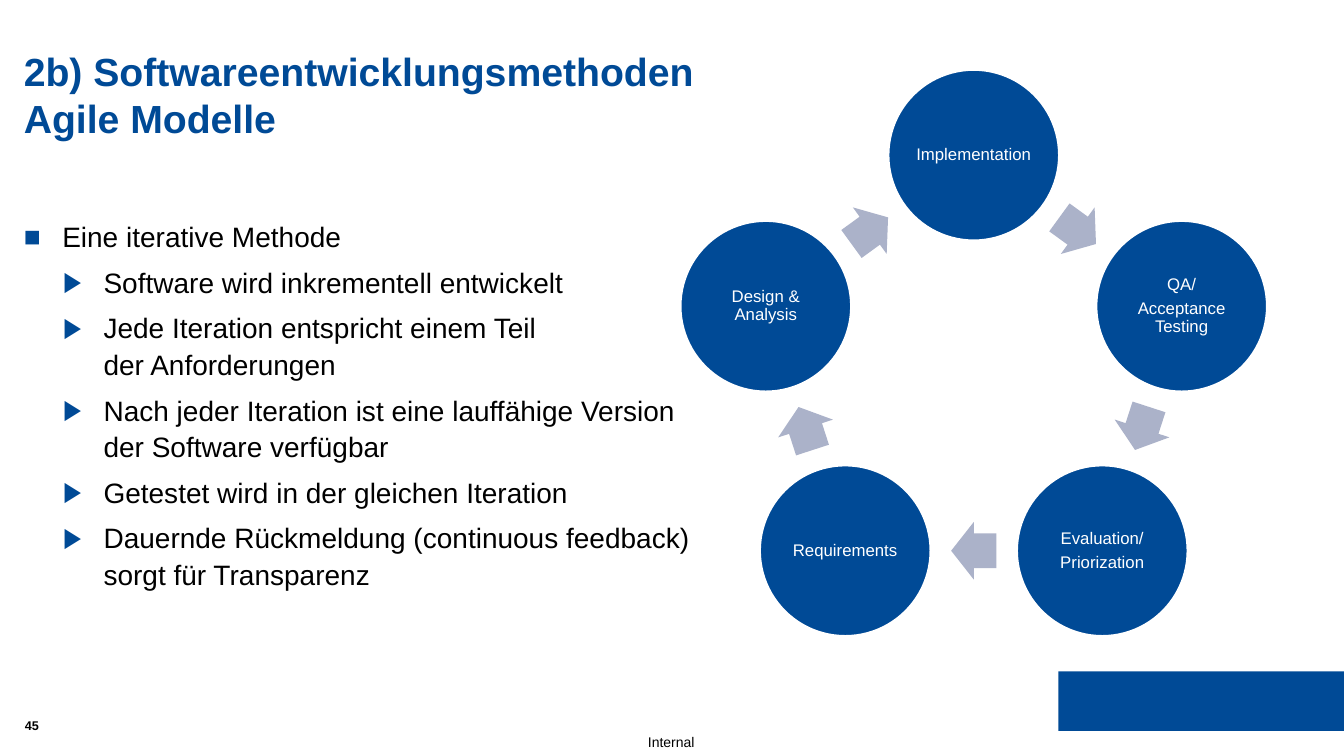
from math import cos, radians, sin

from lxml.etree import SubElement
from pptx import Presentation
from pptx.dml.color import RGBColor
from pptx.enum.shapes import MSO_SHAPE
from pptx.enum.text import MSO_ANCHOR, PP_ALIGN
from pptx.oxml.ns import qn
from pptx.util import Cm, Pt

COLORS = {"blue": "004A96", "arrow": "ABB2C9", "white": "FFFFFF", "black": "000000"}
FONT = "Arial"
STEPS = [
    "Implementation",
    "QA/\nAcceptance Testing",
    "Evaluation/\nPriorization",
    "Requirements",
    "Design & Analysis",
]
POINTS = [
    (0, "Eine iterative Methode"),
    (1, "Software wird inkrementell entwickelt"),
    (1, "Jede Iteration entspricht einem Teil\vder Anforderungen"),
    (1, "Nach jeder Iteration ist eine lauffähige Version\vder Software verfügbar"),
    (1, "Getestet wird in der gleichen Iteration"),
    (1, "Dauernde Rückmeldung (continuous feedback)\vsorgt für Transparenz"),
]
# Per level: bullet, left margin and hanging width in cm
LEVELS = [("■", 0.97, 0.97), ("▶", 2.01, 1.02)]
# Cycle geometry in cm
MID_X, MID_Y, RADIUS = 24.54, 9.42, 5.51
DISC, ARROW_W, ARROW_H = 4.32, 1.14, 1.45


def color(name):
    return RGBColor.from_string(COLORS[name])


def style(frame, size, tint, bold=False, align=PP_ALIGN.LEFT):
    for para in frame.paragraphs:
        para.alignment = align
        for run in para.runs:
            font = run.font
            font.name, font.size, font.bold = FONT, Pt(size), bold
            font.color.rgb = color(tint)


def inset(frame, gap):
    frame.margin_left = frame.margin_right = Cm(gap)
    frame.margin_top = frame.margin_bottom = Cm(gap)
    frame.word_wrap = True


def add_text(slide, box, text, size, tint, bold=False, align=PP_ALIGN.LEFT):
    frame = slide.shapes.add_textbox(*map(Cm, box)).text_frame
    inset(frame, 0)
    frame.text = text
    style(frame, size, tint, bold, align)
    return frame


def add_form(slide, kind, box, fill):
    form = slide.shapes.add_shape(kind, *map(Cm, box))
    form.shadow.inherit = False
    form.fill.solid()
    form.fill.fore_color.rgb = color(fill)
    form.line.fill.background()
    return form


def on_ring(angle, radius, width, height):
    """Box centred on the ring, with the angle clockwise from the top."""
    turn = radians(angle)
    x = MID_X + radius * sin(turn)
    y = MID_Y - radius * cos(turn)
    return x - width / 2, y - height / 2, width, height


def add_disc(slide, angle, text):
    disc = add_form(slide, MSO_SHAPE.OVAL, on_ring(angle, RADIUS, DISC, DISC), "blue")
    disc.line.color.rgb = color("white")
    disc.line.width = Pt(2)
    frame = disc.text_frame
    inset(frame, 0.05)
    frame.vertical_anchor = MSO_ANCHOR.MIDDLE
    frame.text = text
    for para in frame.paragraphs:
        para.line_spacing = 0.9
        para.space_after = Pt(4.2)
    style(frame, 12, "white", align=PP_ALIGN.CENTER)


def add_arrow(slide, angle):
    box = on_ring(angle, RADIUS * cos(radians(36)), ARROW_W, ARROW_H)
    arrow = add_form(slide, MSO_SHAPE.RIGHT_ARROW, box, "arrow")
    arrow.adjustments[0], arrow.adjustments[1] = 0.6, 0.5
    arrow.rotation = angle


def add_cycle(slide):
    step = 360 / len(STEPS)
    for i, text in enumerate(STEPS):
        add_disc(slide, i * step, text)
        add_arrow(slide, (i + 0.5) * step)


def add_bullet(para, level):
    sign, left, hang = LEVELS[level]
    props = para._p.get_or_add_pPr()
    props.set("marL", str(Cm(left)))
    props.set("indent", str(-Cm(hang)))
    tint = SubElement(props, qn("a:buClr"))
    SubElement(tint, qn("a:srgbClr")).set("val", COLORS["blue"])
    SubElement(props, qn("a:buFont")).set("typeface", FONT)
    SubElement(props, qn("a:buChar")).set("char", sign)


def add_list(slide):
    text = "\n".join(line for _, line in POINTS)
    frame = add_text(slide, (0.6, 5.46, 32.64, 10.85), text, 20, "black")
    for para, (level, _) in zip(frame.paragraphs, POINTS):
        add_bullet(para, level)
        para.level = level
        para.line_spacing = 1.1
        if level:
            para.space_before = Pt(6)


def main():
    deck = Presentation()
    deck.slide_width, deck.slide_height = Cm(33.87), Cm(19.05)
    slide = deck.slides.add_slide(deck.slide_layouts[6])
    add_form(slide, MSO_SHAPE.RECTANGLE, (26.67, 16.92, 7.2, 1.5), "blue")
    add_text(slide, (15.95, 18.36, 1.93, 0.69), "Internal", 10, "black",
             align=PP_ALIGN.CENTER).vertical_anchor = MSO_ANCHOR.MIDDLE
    add_cycle(slide)
    add_text(slide, (0.6, 1.2, 32.62, 2.36),
             "2b) Softwareentwicklungsmethoden\vAgile Modelle", 28, "blue", True)
    add_text(slide, (0.63, 18.08, 1.07, 0.43), "45", 9, "black", True)
    add_list(slide)
    deck.save("out.pptx")


if __name__ == "__main__":
    main()
